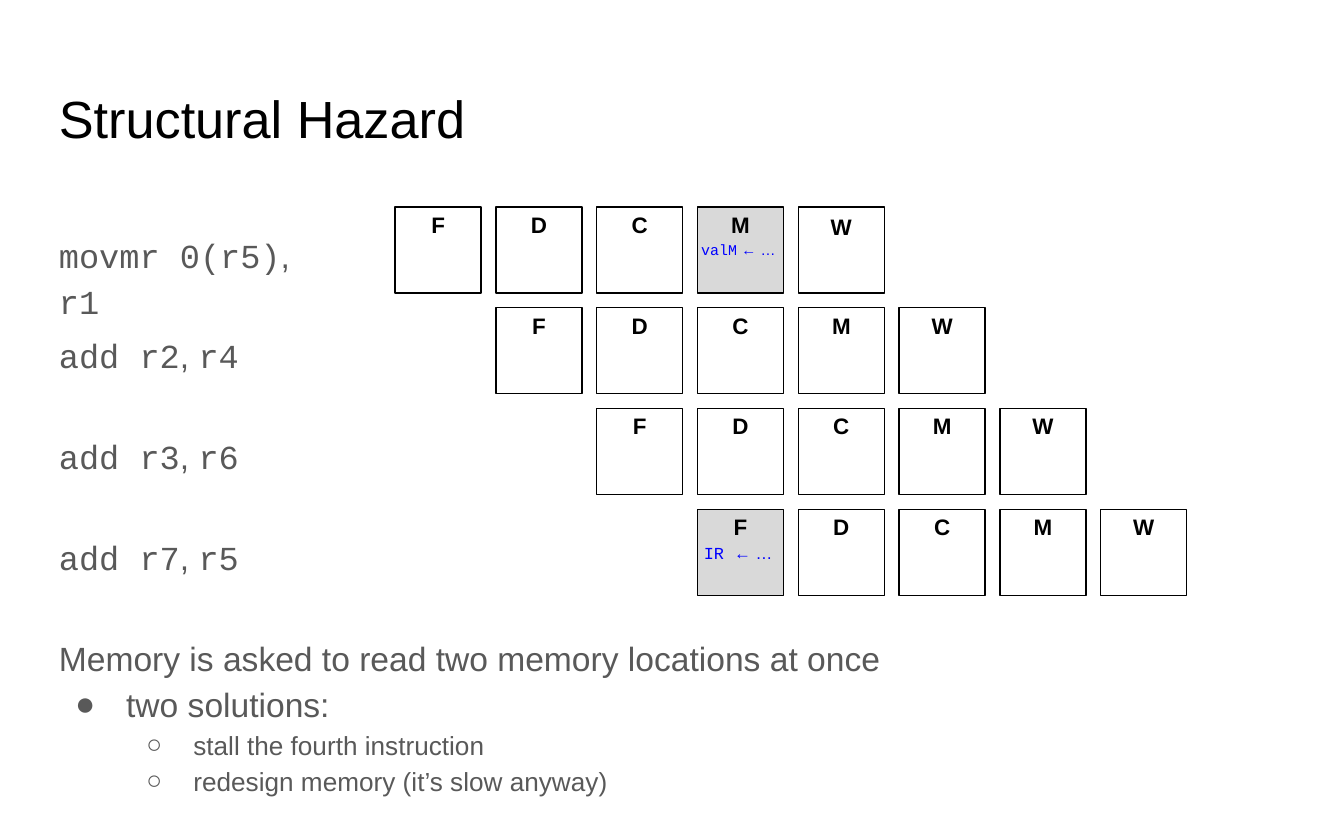
from dataclasses import dataclass

from lxml import etree
from pptx import Presentation
from pptx.dml.color import RGBColor
from pptx.enum.shapes import MSO_SHAPE
from pptx.enum.text import MSO_ANCHOR as ANCHOR, PP_ALIGN as ALIGN
from pptx.oxml.ns import qn
from pptx.util import Inches, Pt


@dataclass(frozen=True)
class Theme:
    sans: str = "Arial"
    mono: str = "Courier New"
    ink: str = "000000"
    body: str = "595959"
    accent: str = "0000FF"
    busy: str = "D9D9D9"
    title_size: int = 28
    body_size: int = 18
    sub_size: int = 14
    stage_size: int = 12


class SlideBuilder:
    def __init__(self, slide, theme):
        self.slide = slide
        self.theme = theme

    def style(self, r, size, color, font=None, bold=False):
        r.font.name = font or self.theme.sans
        r.font.size = Pt(size)
        r.font.bold = bold
        r.font.color.rgb = RGBColor.from_string(color)

    def text_box(self, x, y, w, h, anchor=ANCHOR.TOP):
        tf = self.slide.shapes.add_textbox(*map(Inches, (x, y, w, h))).text_frame
        tf.word_wrap = True
        tf.vertical_anchor = anchor
        tf.margin_left = tf.margin_right = Inches(0.1)
        tf.margin_top = tf.margin_bottom = Inches(0.1)
        return tf

    def runs(self, p, parts, size, color):
        for text, font in parts:
            r = p.add_run()
            r.text = text
            self.style(r, size, color, font)

    def text(self, x, y, w, h, parts, size, color, spacing=None):
        p = self.text_box(x, y, w, h).paragraphs[0]
        p.line_spacing = spacing
        self.runs(p, parts, size, color)

    def bullets(self, x, y, w, h, lines, size, char, level, indent, hanging):
        tf = self.text_box(x, y, w, h)
        for i, line in enumerate(lines):
            p = tf.add_paragraph() if i else tf.paragraphs[0]
            p.text = line
            p.level = level
            p.line_spacing = 1.15
            self.style(p.runs[0], size, self.theme.body)
            pPr = p._p.get_or_add_pPr()
            pPr.set("marL", str(Inches(indent)))
            pPr.set("indent", str(-Inches(hanging)))
            clr = etree.SubElement(pPr, qn("a:buClr"))
            etree.SubElement(clr, qn("a:srgbClr"), val=self.theme.body)
            etree.SubElement(pPr, qn("a:buFont"), typeface=self.theme.sans)
            etree.SubElement(pPr, qn("a:buChar"), char=char)

    def stage(self, x, y, side, letter, busy=False, inset=0.03):
        sp = self.slide.shapes.add_shape(
            MSO_SHAPE.RECTANGLE, *map(Inches, (x, y, side, side)))
        sp.shadow.inherit = False
        if busy:
            sp.fill.solid()
            sp.fill.fore_color.rgb = RGBColor.from_string(self.theme.busy)
        else:
            sp.fill.background()
        sp.line.color.rgb = RGBColor.from_string(self.theme.ink)
        sp.line.width = Pt(0.75)
        tf = sp.text_frame
        tf.text = letter
        tf.vertical_anchor = ANCHOR.TOP
        tf.margin_top = Inches(inset)
        p = tf.paragraphs[0]
        p.alignment = ALIGN.CENTER
        self.style(p.runs[0], self.theme.stage_size, self.theme.ink, bold=True)

    def transfer(self, x, y, w, h, parts, size):
        p = self.text_box(x, y, w, h, ANCHOR.MIDDLE).paragraphs[0]
        p.alignment = ALIGN.CENTER
        self.runs(p, parts, size, self.theme.accent)


prs = Presentation()
prs.slide_width, prs.slide_height = Inches(10), Inches(6.25)
theme = Theme()
sb = SlideBuilder(prs.slides.add_slide(prs.slide_layouts[6]), theme)
LEFT, WIDTH = 0.34, 9.32

# Title
sb.text(LEFT, 0.54, WIDTH, 0.7, [("Structural Hazard", theme.sans)],
        theme.title_size, theme.ink)

# Pipeline: each instruction starts one step after the one above
GRID_X, GRID_Y, STEP, SIDE = 2.94, 1.54, 0.75, 0.64
STAGES = "FDCMW"
instructions = [("movmr 0(r5)", "r1"), ("add r2", "r4"),
                ("add r3", "r6"), ("add r7", "r5")]
memory_reads = {
    (0, "M"): ([("valM", theme.mono), (" ← … ", theme.sans)], 8),
    (3, "F"): ([("IR ", theme.mono), ("← … ", theme.sans)], 9),
}
for row, (source, target) in enumerate(instructions):
    y = GRID_Y + row * STEP
    parts = [(source, theme.mono), (", ", theme.sans), (target, theme.mono)]
    sb.text(LEFT, y + 0.06, 1.76 if row else 2.24, 0.42, parts,
            theme.body_size, theme.body, 1.15)
    for col, letter in enumerate(STAGES, start=row):
        x = GRID_X + col * STEP
        read = memory_reads.get((row, letter))
        lowered = (row, letter) == (0, "W")
        sb.stage(x, y, SIDE, letter, bool(read), 0.05 if lowered else 0.03)
        if read:
            sb.transfer(x - 0.11, y, SIDE + 0.22, SIDE, *read)

# Explanation and solutions
sb.text(LEFT, 4.6, WIDTH, 0.79,
        [("Memory is asked to read two memory locations at once", theme.sans)],
        theme.body_size, theme.body, 1.15)
sb.bullets(LEFT, 4.94, WIDTH, 0.79, ["two solutions:"],
           theme.body_size, "●", 0, 0.5, 0.38)
sb.bullets(LEFT, 5.29, WIDTH, 0.79,
           ["stall the fourth instruction", "redesign memory (it’s slow anyway)"],
           theme.sub_size, "○", 1, 1, 0.35)

prs.save("out.pptx")
